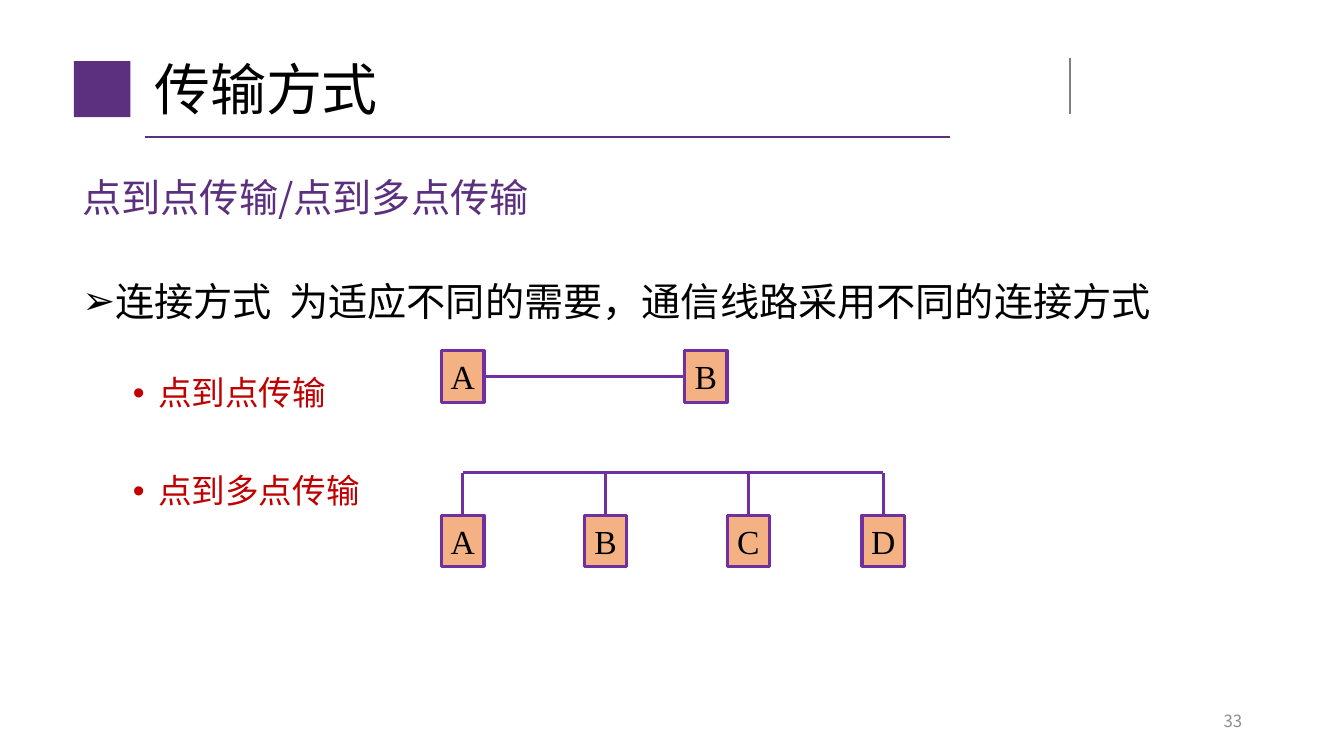
from lxml import etree
from pptx import Presentation
from pptx.dml.color import RGBColor
from pptx.enum.shapes import MSO_CONNECTOR, MSO_SHAPE
from pptx.enum.text import MSO_ANCHOR, PP_ALIGN
from pptx.oxml.ns import qn
from pptx.util import Inches, Pt

WIDE, HIGH = Inches(13.33), Inches(7.5)
RECT, LINE = MSO_SHAPE.RECTANGLE, MSO_CONNECTOR.STRAIGHT
MIDDLE, TOP = MSO_ANCHOR.MIDDLE, MSO_ANCHOR.TOP
LEFT, MID, RIGHT = PP_ALIGN.LEFT, PP_ALIGN.CENTER, PP_ALIGN.RIGHT

PLUM = RGBColor(0x5C, 0x30, 0x7E)
VIOLET = RGBColor(0x70, 0x30, 0xA0)
PEACH = RGBColor(0xF4, 0xB1, 0x83)
RED = RGBColor(0xC0, 0x00, 0x00)
BLACK = RGBColor(0x00, 0x00, 0x00)
GREY = RGBColor(0x80, 0x80, 0x80)
PALE = RGBColor(0x8C, 0x8C, 0x8C)

SANS, SERIF = "Noto Sans CJK SC", "Times New Roman"
NODE_W, NODE_H = 3.15, 6.8

# text, size, colour, line height, bullet, left indent in inches
BODY = [
    ("点到点传输/点到多点传输", 28, PLUM, 52, None, 0),
    ("连接方式  为适应不同的需要，通信线路采用不同的连接方式", 28, BLACK, 68, "➢", 0.25),
    ("点到点传输", 24, RED, 57, "•", 0.75),
    ("点到多点传输", 24, RED, 64, "•", 0.75),
]
PAIR = [("A", 32.86), ("B", 50.94)]
GROUP = [("A", 32.86), ("B", 43.48), ("C", 54.1), ("D", 64.14)]


def across(share):
    """Turn a percentage of the slide's width into a length."""
    return round(WIDE * share / 100)


def down(share):
    """Turn a percentage of the slide's height into a length."""
    return round(HIGH * share / 100)


def place(x, y, w, h):
    return across(x), down(y), across(w), down(h)


def add_run(para, text, size, color, face=SANS):
    run = para.add_run()
    run.text = text
    font = run.font
    font.size, font.name = Pt(size), face
    font.color.rgb = color
    east = etree.SubElement(run._r.get_or_add_rPr(), qn("a:ea"))
    east.set("typeface", face)


def add_text(slide, area, anchor):
    frame = slide.shapes.add_textbox(*place(*area)).text_frame
    frame.word_wrap = True
    frame.vertical_anchor = anchor
    return frame


def add_label(slide, area, text, size, color, align):
    para = add_text(slide, area, MIDDLE).paragraphs[0]
    para.alignment = align
    add_run(para, text, size, color)


def set_bullet(para, mark, indent):
    props = para._p.get_or_add_pPr()
    props.set("marL", str(Inches(indent)))
    props.set("indent", str(-Inches(0.25)))
    etree.SubElement(props, qn("a:buFont")).set("typeface", "Arial")
    etree.SubElement(props, qn("a:buChar")).set("char", mark)


def add_body(slide, area):
    frame = add_text(slide, area, TOP)
    for i, (text, size, color, height, mark, indent) in enumerate(BODY):
        para = frame.add_paragraph() if i else frame.paragraphs[0]
        if mark:
            set_bullet(para, mark, indent)
        para.line_spacing = Pt(height)
        para.space_before = Pt(6 if i else 0)
        add_run(para, text, size, color)


def add_rect(slide, area, fill):
    rect = slide.shapes.add_shape(RECT, *place(*area))
    rect.shadow.inherit = False
    rect.fill.solid()
    rect.fill.fore_color.rgb = fill
    rect.line.fill.background()
    return rect


def add_node(slide, name, x, y):
    node = add_rect(slide, (x, y, NODE_W, NODE_H), PEACH)
    node.line.color.rgb = VIOLET
    node.line.width = Pt(2.25)
    frame = node.text_frame
    frame.margin_left = frame.margin_right = 0
    frame.margin_top = frame.margin_bottom = 0
    frame.vertical_anchor = MIDDLE
    para = frame.paragraphs[0]
    para.alignment = MID
    add_run(para, name, 24, BLACK, SERIF)
    return node


def add_line(slide, x1, y1, x2, y2, color=VIOLET, width=2.25):
    line = slide.shapes.add_connector(
        LINE, across(x1), down(y1), across(x2), down(y2))
    line.line.color.rgb = color
    line.line.width = Pt(width)
    etree.SubElement(line._element.spPr, qn("a:effectLst"))
    return line


def add_pair(slide, y):
    """Draw two nodes joined side to side."""
    first, last = [add_node(slide, name, x, y) for name, x in PAIR]
    mid = y + NODE_H / 2
    link = add_line(slide, PAIR[0][1] + NODE_W, mid, PAIR[1][1], mid)
    link.begin_connect(first, 3)
    link.end_connect(last, 1)


def add_bus(slide, y, bus):
    """Draw nodes that hang from one shared line."""
    mids = [x + NODE_W / 2 for _, x in GROUP]
    add_line(slide, mids[0], bus, mids[-1], bus)
    for (name, x), mid in zip(GROUP, mids):
        node = add_node(slide, name, x, y)
        add_line(slide, mid, bus, mid, y).end_connect(node, 0)


def main():
    deck = Presentation()
    deck.slide_width, deck.slide_height = WIDE, HIGH
    slide = deck.slides.add_slide(deck.slide_layouts[6])
    add_rect(slide, (5.5, 8.1, 4.2, 7.4), PLUM)
    add_line(slide, 10.8, 18.15, 70.67, 18.15, PLUM, 1.5)
    add_line(slide, 79.6, 7.7, 79.6, 15.1, GREY, 1)
    add_label(slide, (10.73, 5.3, 67.4, 12.8), "传输方式", 40, BLACK, LEFT)
    add_body(slide, (5.4, 18.93, 86.3, 66.9))
    add_label(slide, (70.67, 92.67, 22.5, 5.3), "33", 12, PALE, RIGHT)
    add_pair(slide, 46.4)
    add_bus(slide, 68.13, 62.53)
    deck.save("out.pptx")


if __name__ == "__main__":
    main()
